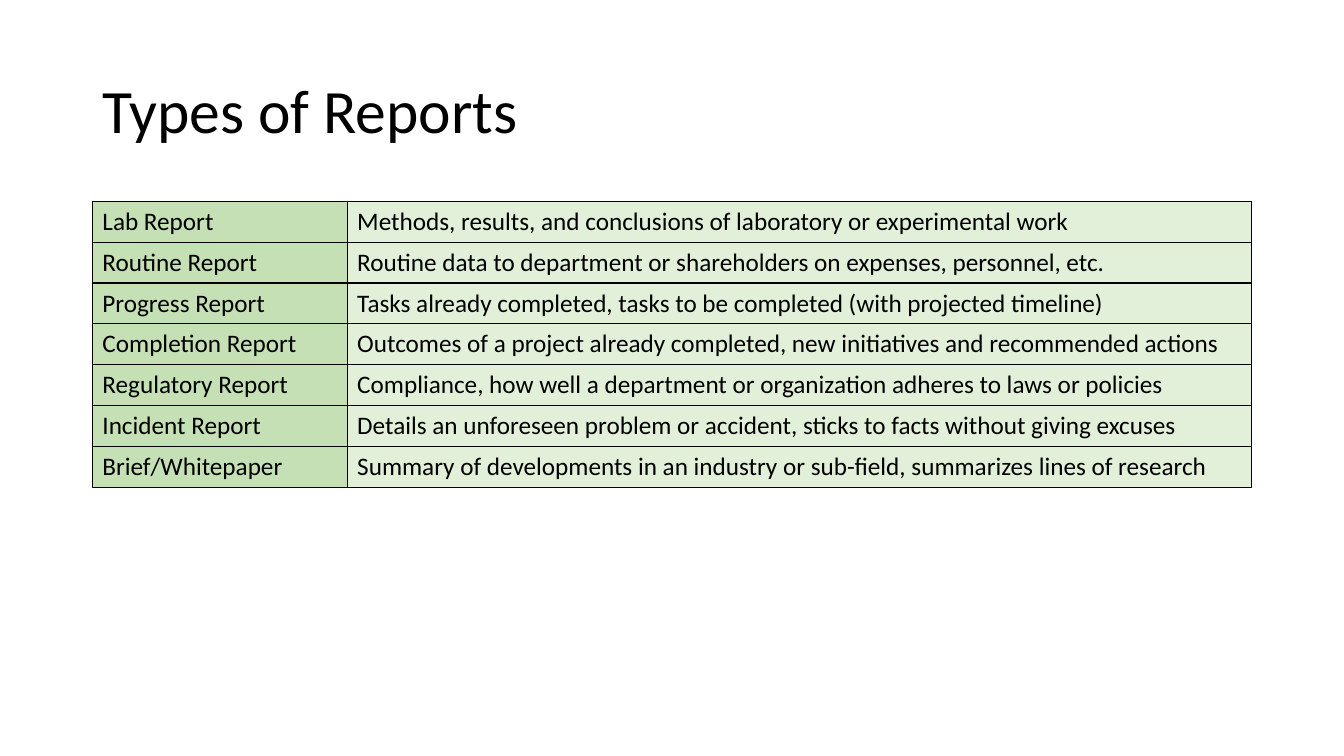
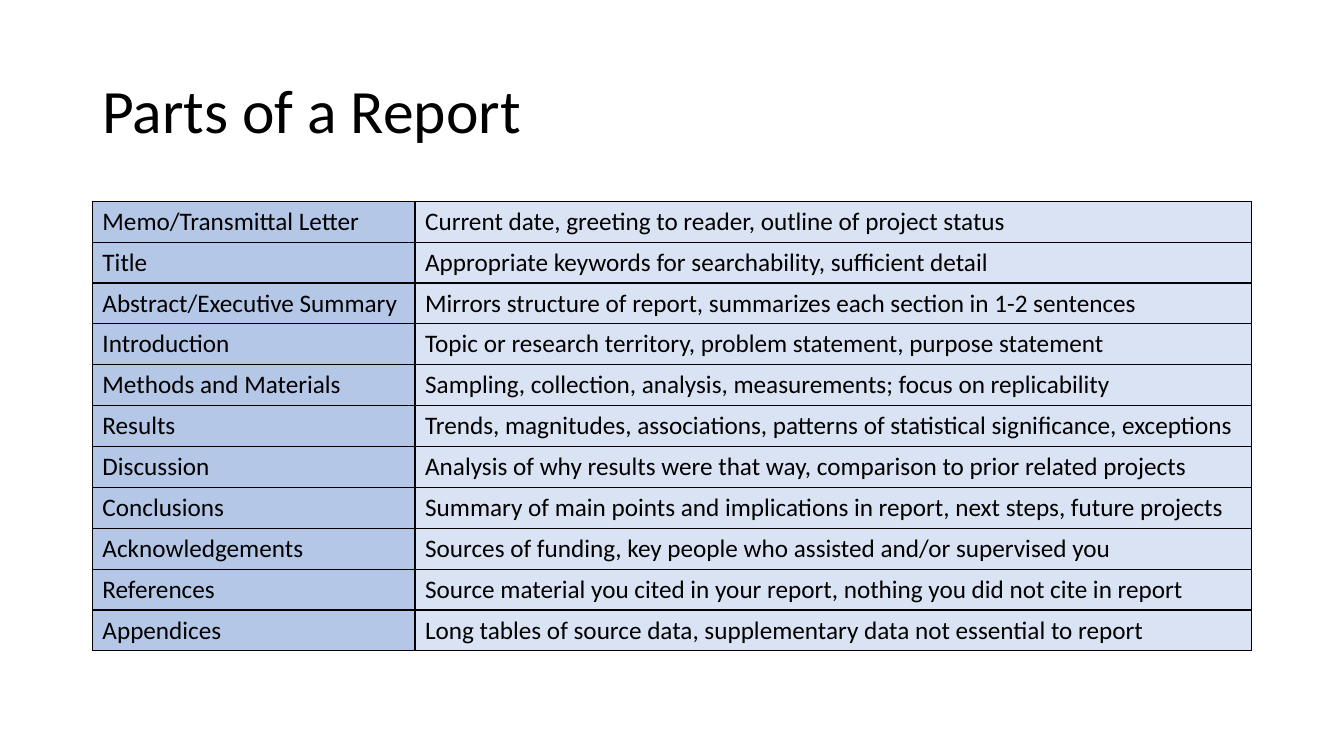
from lxml import etree
from pptx import Presentation, util as u
from pptx.dml.color import RGBColor
from pptx.enum import text
from pptx.oxml import ns

# Content
TYPES = [
    ("Lab Report", "Methods, results, and conclusions of laboratory or experimental work"),
    ("Routine Report", "Routine data to department or shareholders on expenses, personnel, etc."),
    ("Progress Report", "Tasks already completed, tasks to be completed (with projected timeline)"),
    ("Completion Report", "Outcomes of a project already completed, new initiatives and recommended actions"),
    ("Regulatory Report", "Compliance, how well a department or organization adheres to laws or policies"),
    ("Incident Report", "Details an unforeseen problem or accident, sticks to facts without giving excuses"),
    ("Brief/Whitepaper", "Summary of developments in an industry or sub-field, summarizes lines of research"),
]
PARTS = [
    ("Memo/Transmittal Letter", "Current date, greeting to reader, outline of project status"),
    ("Title", "Appropriate keywords for searchability, sufficient detail"),
    ("Abstract/Executive Summary", "Mirrors structure of report, summarizes each section in 1-2 sentences"),
    ("Introduction", "Topic or research territory, problem statement, purpose statement"),
    ("Methods and Materials", "Sampling, collection, analysis, measurements; focus on replicability"),
    ("Results", "Trends, magnitudes, associations, patterns of statistical significance, exceptions"),
    ("Discussion", "Analysis of why results were that way, comparison to prior related projects"),
    ("Conclusions", "Summary of main points and implications in report, next steps, future projects"),
    ("Acknowledgements", "Sources of funding, key people who assisted and/or supervised you"),
    ("References", "Source material you cited in your report, nothing you did not cite in report"),
    ("Appendices", "Long tables of source data, supplementary data not essential to report"),
]
# Title, rows, width of the name column, fills of the two columns
SLIDES = [
    ("Types of Reports", TYPES, 182, ("green", "pale green")),
    ("Parts of a Report", PARTS, 230.5, ("blue", "pale blue")),
]

# Shared style
HUES = {"ink": "000000", "green": "C5E0B4", "pale green": "E2F0D9",
        "blue": "B4C7E7", "pale blue": "DAE3F3"}
FONT = "Calibri"
LEFT, WIDE = 66, 828
ROW = 29.2


def write(frame, words, size=18, line=1.0):
    para = frame.paragraphs[0]
    para.line_spacing = line
    run = para.add_run()
    run.text = words
    run.font.name = FONT
    run.font.size = u.Pt(size)
    run.font.color.rgb = RGBColor.from_string(HUES["ink"])


def border(cell):
    props = cell._tc.get_or_add_tcPr()
    for side in ("a:lnL", "a:lnR", "a:lnT", "a:lnB"):
        edge = etree.SubElement(props, ns.qn(side), w=str(u.Pt(1)))
        fill = etree.SubElement(edge, ns.qn("a:solidFill"))
        etree.SubElement(fill, ns.qn("a:srgbClr"), val=HUES["ink"])


def title(slide, words):
    box = slide.shapes.add_textbox(u.Pt(LEFT), u.Pt(28.75), u.Pt(WIDE), u.Pt(104.4))
    frame = box.text_frame
    frame.word_wrap = True
    frame.vertical_anchor = text.MSO_ANCHOR.MIDDLE
    write(frame, words, size=44, line=0.9)


def grid(slide, rows, first, fills):
    table = slide.shapes.add_table(len(rows), 2, u.Pt(LEFT), u.Pt(143.75),
                                   u.Pt(WIDE), u.Pt(ROW * len(rows))).table
    table.first_row = table.horz_banding = False
    for col, width in zip(table.columns, (first, WIDE - first)):
        col.width = u.Pt(width)
    for r, row in enumerate(rows):
        table.rows[r].height = u.Pt(ROW)
        for c, words in enumerate(row):
            cell = table.cell(r, c)
            border(cell)
            cell.fill.solid()
            cell.fill.fore_color.rgb = RGBColor.from_string(HUES[fills[c]])
            write(cell.text_frame, words)


# Build
deck = Presentation()
deck.slide_width, deck.slide_height = u.Pt(960), u.Pt(540)
for head, rows, first, fills in SLIDES:
    slide = deck.slides.add_slide(deck.slide_layouts[6])
    title(slide, head)
    grid(slide, rows, first, fills)
deck.save("out.pptx")
